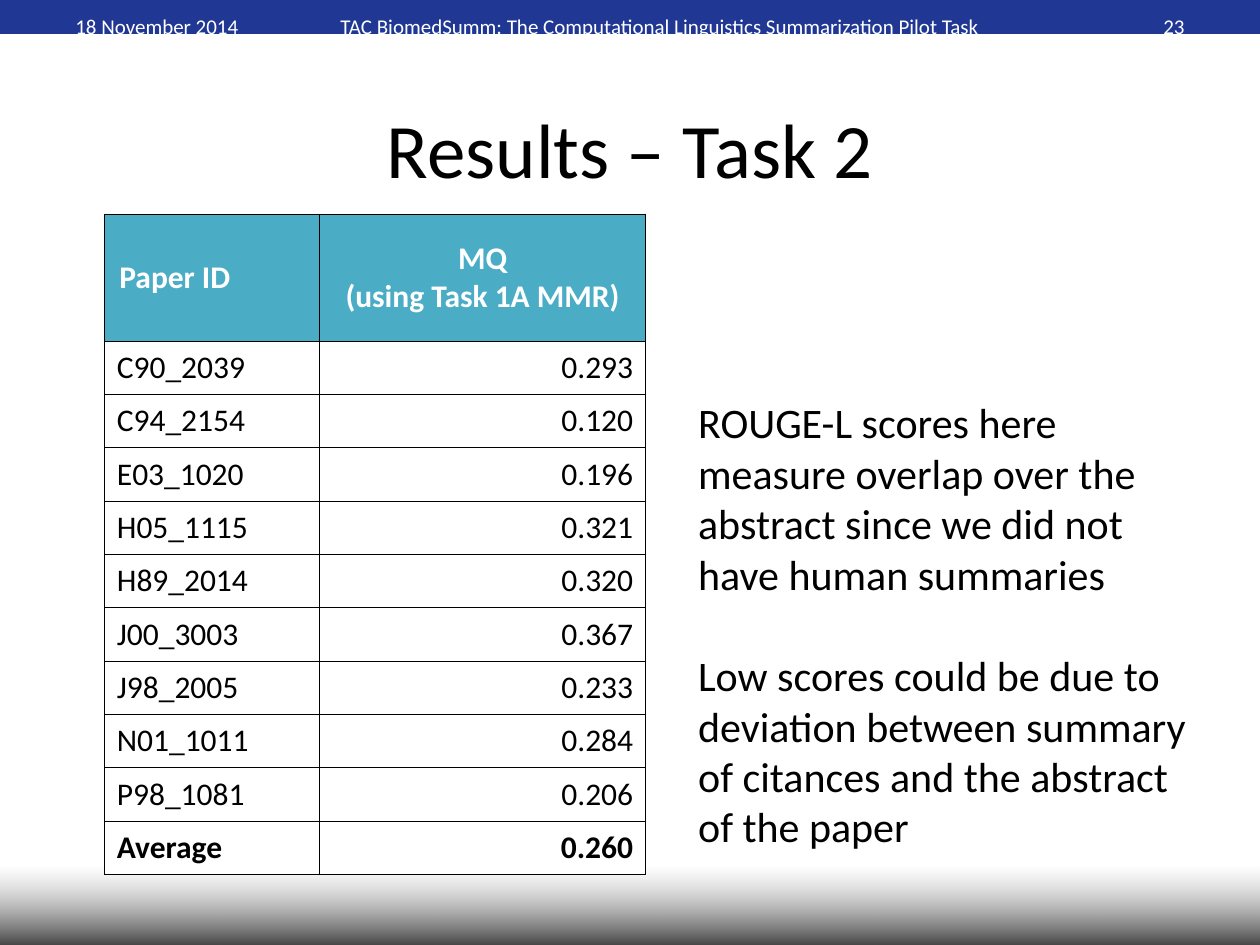
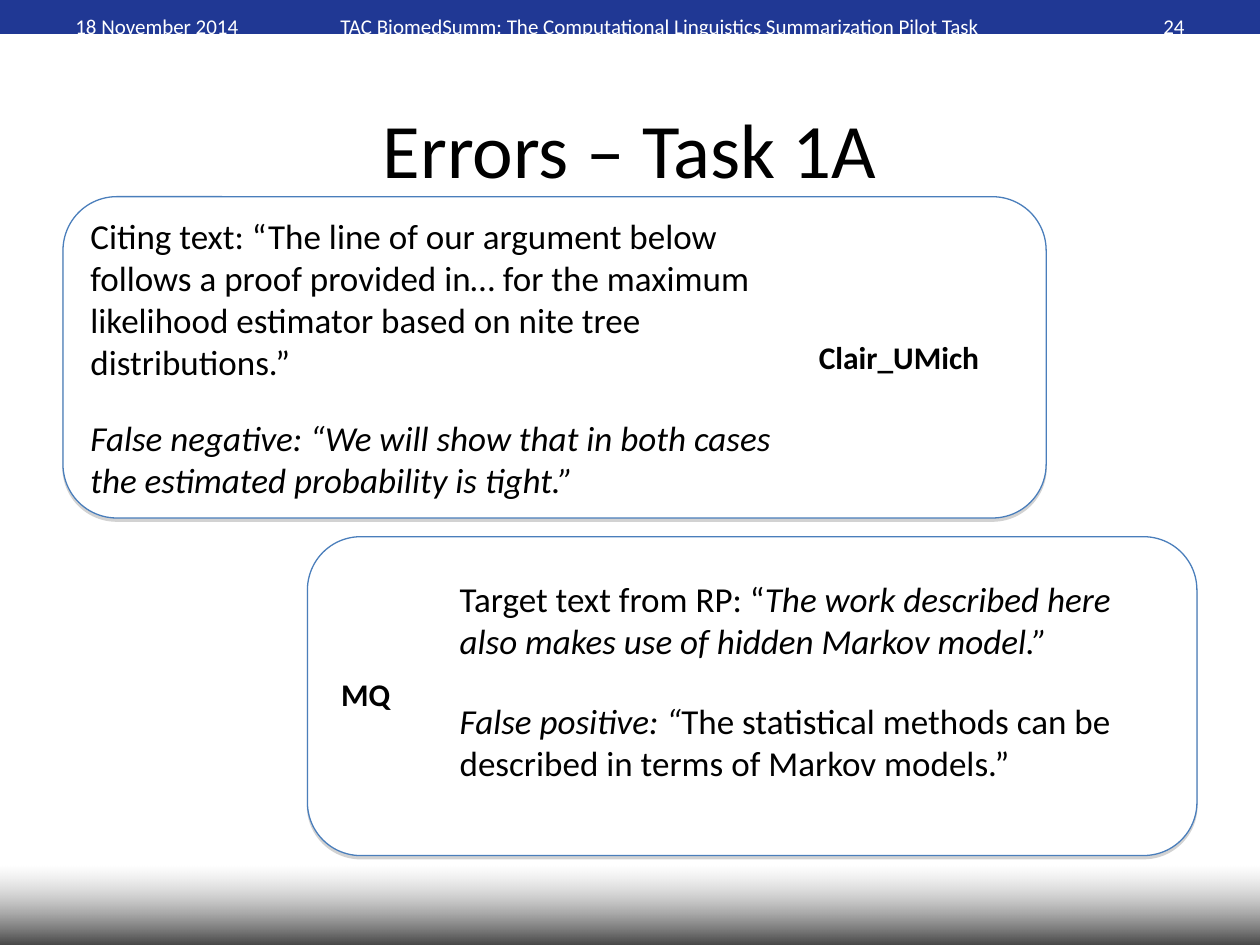
from lxml.etree import SubElement
from pptx import Presentation
from pptx.dml.color import RGBColor
from pptx.enum.shapes import MSO_SHAPE
from pptx.enum.text import MSO_ANCHOR, PP_ALIGN
from pptx.oxml.ns import qn
from pptx.util import Pt

# Shared style
FONT = "Calibri"
NAVY, TEAL, OUTLINE = "203894", "4BACC6", "4A7EBB"
BLACK, WHITE, GREY = "000000", "FFFFFF", "808080"
TITLE_BOX = (36, 55.4, 648, 58.3)
HEADER_TOP, HEADER_HEIGHT = 7.2, 15.8
DATE = "18 November 2014"
TALK = "TAC BiomedSumm: The Computational Linguistics Summarization Pilot Task"

# Task 2 results
SCORES = [
    ("C90_2039", "0.293"), ("C94_2154", "0.120"), ("E03_1020", "0.196"),
    ("H05_1115", "0.321"), ("H89_2014", "0.320"), ("J00_3003", "0.367"),
    ("J98_2005", "0.233"), ("N01_1011", "0.284"), ("P98_1081", "0.206"),
    ("Average", "0.260"),
]
HEADINGS = ["Paper ID", "MQ\n(using Task 1A MMR)"]


def rgb(value):
    return RGBColor.from_string(value)


def points(*lengths):
    return [Pt(length) for length in lengths]


def apply(target, formats):
    for name, value in formats.items():
        setattr(target, name, value)


def add_colour(parent, colour, alpha=None):
    node = SubElement(parent, qn("a:srgbClr"), val=colour)
    if alpha is not None:
        SubElement(node, qn("a:alpha"), val=str(alpha * 1000))


class SlideBuilder:
    def __init__(self):
        self.deck = Presentation()
        apply(self.deck, {"slide_width": Pt(720), "slide_height": Pt(540)})
        self.page = None

    def start(self, title, number):
        """Open a page with its bands, title and header line."""
        self.page = self.deck.slides.add_slide(self.deck.slide_layouts[5])
        self.shape(MSO_SHAPE.RECTANGLE, (-0.7, 0, 720.7, 19.4), NAVY)
        self.bottom_band()
        holder = self.page.shapes.title
        apply(holder, dict(zip(("left", "top", "width", "height"), points(*TITLE_BOX))))
        self.fill_text(holder.text_frame, [title], 44, align=PP_ALIGN.CENTER,
                       anchor=MSO_ANCHOR.MIDDLE)
        header = [(DATE, 36, 113, PP_ALIGN.LEFT), (TALK, 170, 414, PP_ALIGN.CENTER),
                  (str(number), 584, 100, PP_ALIGN.RIGHT)]
        for words, left, width, align in header:
            self.text((left, HEADER_TOP, width, HEADER_HEIGHT), [words], 12,
                      colour=WHITE, align=align, anchor=MSO_ANCHOR.MIDDLE)

    def shape(self, kind, place, fill, line=None):
        shape = self.page.shapes.add_shape(kind, *points(*place))
        shape.shadow.inherit = False
        shape.fill.solid()
        shape.fill.fore_color.rgb = rgb(fill)
        if line:
            shape.line.color.rgb = rgb(line)
            shape.line.width = Pt(0.75)
        else:
            shape.line.fill.background()
        return shape

    def bottom_band(self):
        band = self.shape(MSO_SHAPE.RECTANGLE, (0, 494.6, 720.7, 55.4), BLACK)
        band.fill.gradient()
        band.fill.gradient_angle = 90
        for stop, colour in zip(band.fill.gradient_stops, (BLACK, WHITE)):
            stop.color.rgb = rgb(colour)
        # The white end is translucent
        white = list(band._element.spPr.iter(qn("a:srgbClr")))[-1]
        SubElement(white, qn("a:alpha"), val="39000")

    def card(self, place):
        card = self.shape(MSO_SHAPE.ROUNDED_RECTANGLE, place, WHITE, OUTLINE)
        card.adjustments[0] = 0.167
        effects = card._element.spPr.find(qn("a:effectLst"))
        shadow = SubElement(effects, qn("a:outerShdw"), blurRad="0",
                            dist=str(Pt(1.8)), dir="5400000", rotWithShape="0")
        add_colour(shadow, GREY, 35)

    def text(self, place, paras, size, indent=7.2, **formats):
        box = self.page.shapes.add_textbox(*points(*place))
        box.text_frame.margin_left = Pt(indent)
        self.fill_text(box.text_frame, paras, size, **formats)

    def fill_text(self, frame, paras, size, colour=BLACK, align=PP_ALIGN.LEFT,
                  anchor=MSO_ANCHOR.TOP, gap=0, bold=False):
        """Each para is a string or a list of (words, italic) spans."""
        apply(frame, {"word_wrap": True, "vertical_anchor": anchor})
        for index, spans in enumerate(paras):
            para = frame.add_paragraph() if index else frame.paragraphs[0]
            apply(para, {"alignment": align, "space_before": Pt(gap if index else 0)})
            if isinstance(spans, str):
                spans = [(spans, False)]
            for words, italic in spans:
                span = para.add_run()
                span.text = words
                apply(span.font, {"name": FONT, "size": Pt(size), "bold": bold,
                                  "italic": italic})
                span.font.color.rgb = rgb(colour)

    def table(self, place, widths, heights, rows):
        table = self.page.shapes.add_table(len(rows), len(widths), *points(*place)).table
        for column, width in zip(table.columns, widths):
            column.width = Pt(width)
        for row, height in zip(table.rows, heights):
            row.height = Pt(height)
        for r, values in enumerate(rows):
            heading = r == 0
            for c, value in enumerate(values):
                cell = table.cell(r, c)
                align = PP_ALIGN.LEFT
                if c:
                    align = PP_ALIGN.CENTER if heading else PP_ALIGN.RIGHT
                if heading:
                    apply(cell, {"margin_left": Pt(2.9 if c else 8.6),
                                 "margin_right": Pt(2.9)})
                self.fill_text(cell.text_frame, value.split("\n"), 18,
                               WHITE if heading else BLACK, align,
                               bold=heading or r == len(rows) - 1)
                cell.vertical_anchor = MSO_ANCHOR.MIDDLE
                self.borders(cell)
                cell.fill.solid()
                cell.fill.fore_color.rgb = rgb(TEAL if heading else WHITE)

    def borders(self, cell):
        properties = cell._tc.get_or_add_tcPr()
        for side in ("lnL", "lnR", "lnT", "lnB"):
            line = SubElement(properties, qn("a:" + side), w=str(Pt(0.45)))
            add_colour(SubElement(line, qn("a:solidFill")), BLACK)


def build_results(builder):
    builder.start("Results – Task 2", 23)
    heights = [72.6] + [30.48] * len(SCORES)
    widths = [123, 186.4]
    builder.table((59.6, 122.3, sum(widths), sum(heights)), widths, heights,
                  [HEADINGS] + SCORES)
    builder.text((369.4, 223.2, 330.5, 295), [
        "ROUGE-L scores here measure overlap over the abstract since we did not "
        "have human summaries",
        "Low scores could be due to deviation between summary of citances and the "
        "abstract of the paper",
    ], 24, indent=29.5, gap=29.3)


def build_errors(builder):
    builder.start("Errors – Task 1A", 24)

    # False negative
    builder.card((36, 112.4, 561.8, 183.6))
    builder.text((44.6, 118.8, 429.8, 170.6), [
        "Citing text: “The line of our argument below follows a proof provided in… "
        "for the maximum likelihood estimator based on nite tree distributions.”",
        [("False negative: “We will show that in both cases the estimated "
          "probability is tight.”", True)],
    ], 20, gap=19.5)
    builder.text((460.8, 189.4, 132.5, 28.8), ["Clair_UMich"], 18, bold=True)

    # False positive
    builder.card((175.7, 306.7, 508.3, 182.2))
    builder.text((187.9, 382.3, 53.3, 28.8), ["MQ"], 18, bold=True)
    builder.text((255.6, 326.2, 417.6, 149), [
        [("Target text from RP: “", False),
         ("The work described here also makes use of hidden Markov model.”", True)],
        [("False positive: “", True),
         ("The statistical methods can be described in terms of Markov models.”", False)],
    ], 20, gap=22)


def main():
    builder = SlideBuilder()
    build_results(builder)
    build_errors(builder)
    builder.deck.save("out.pptx")


if __name__ == "__main__":
    main()
